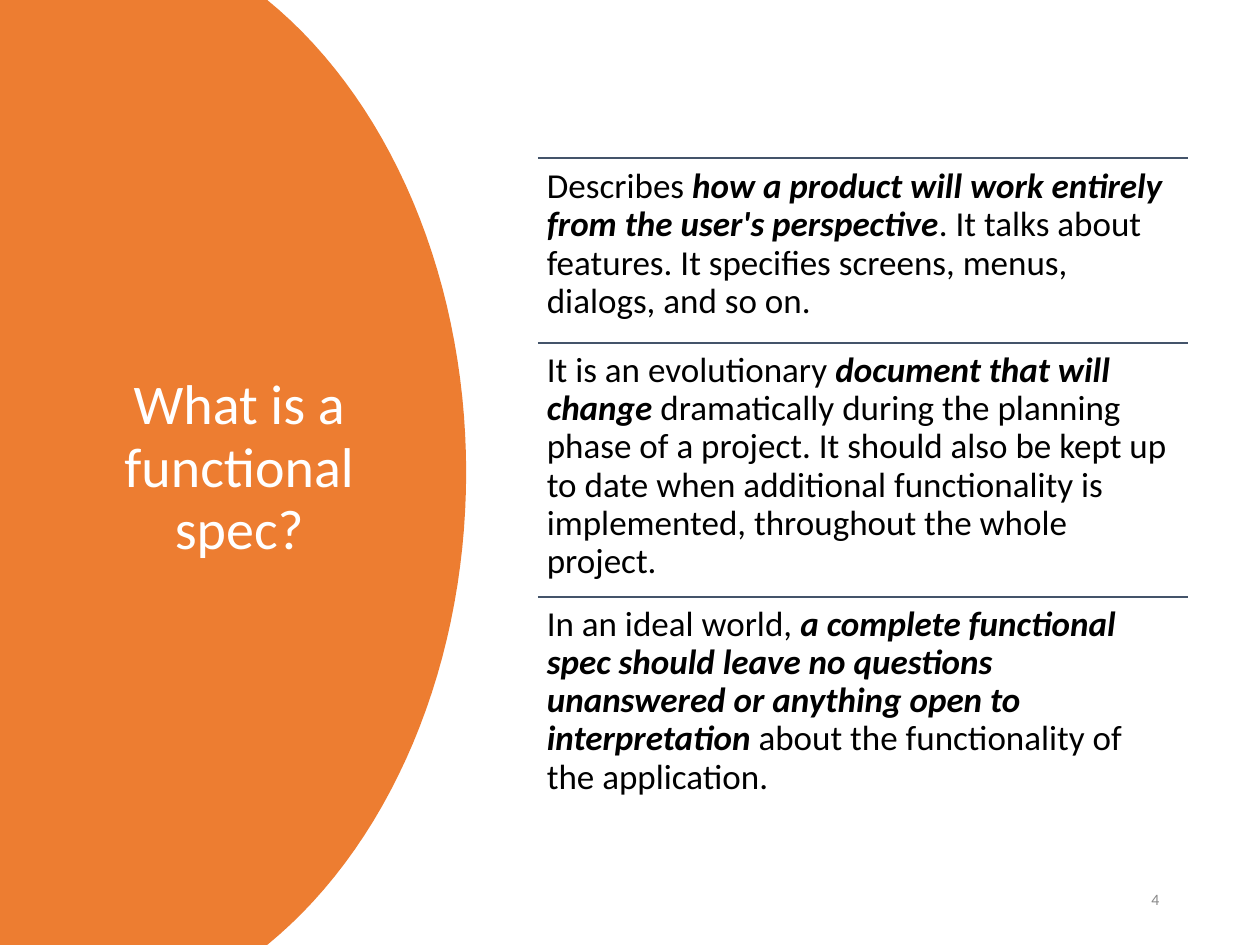
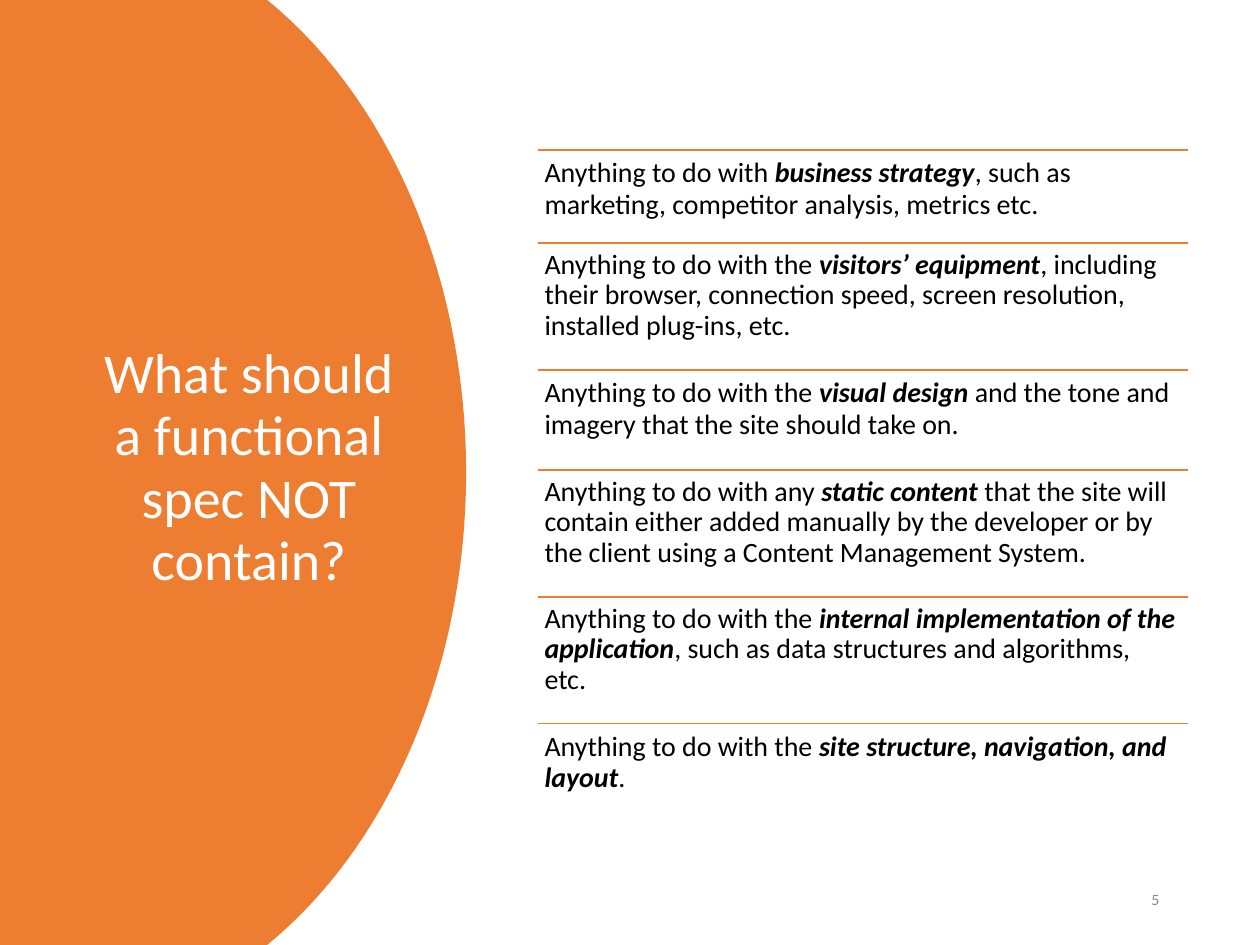
from math import asin, cos, sin

from lxml.etree import SubElement
from pptx import Presentation
from pptx.dml.color import RGBColor
from pptx.enum.shapes import MSO_CONNECTOR
from pptx.enum.text import MSO_ANCHOR, MSO_AUTO_SIZE, PP_ALIGN
from pptx.oxml.ns import qn
from pptx.util import Pt

COLORS = {"orange": "ED7D31", "slate": "44546A", "white": "FFFFFF",
          "black": "000000", "gray": "898989"}
FONT = "Calibri"
WIDTH, HEIGHT = 720, 540
CENTER_X, RADIUS_X, RADIUS_Y = 28, 238.4, 316.8
ARC_STEPS = 60
RULE_LEFT, RULE_RIGHT = 307.4, 678.9

SLIDES = [
    {
        "number": "4",
        "title": "What is a functional spec?",
        "title_box": (69, 209.5, 135.5, 112),
        "rule": "slate", "size": 20, "text_left": 312.5, "gap": 2,
        "rows": [
            (90.5, 356, 0.92, ["Describes ", "how a product will work entirely from the user's perspective",
                               ". It talks about features. It specifies screens, menus, dialogs, and so on."]),
            (196, 358, 0.91, ["It is an evolutionary ", "document that will change",
                              " dramatically during the planning phase of a project. It should also be kept up to "
                              "date when additional functionality is implemented, throughout the whole project."]),
            (341, 333, 0.91, ["In an ideal world, ",
                              "a complete functional spec should leave no questions unanswered or anything open "
                              "to interpretation", " about the functionality of the application."]),
        ],
    },
    {
        "number": "5",
        "title": "What should a functional spec NOT contain?",
        "title_box": (57, 191.5, 170.5, 148),
        "rule": "orange", "size": 16, "text_left": 311.2, "gap": 1,
        "rows": [
            (85.8, 306, Pt(18), ["Anything to do with ", "business strategy",
                                 ", such as marketing, competitor analysis, metrics etc."]),
            (138.8, 355, 0.91, ["Anything to do with the ", "visitors’ equipment",
                                ", including their browser, connection speed, screen resolution, installed "
                                "plug-ins, etc."]),
            (211.4, 362, Pt(18), ["Anything to do with the ", "visual design",
                                  " and the tone and imagery that the site should take on."]),
            (268.4, 361, 0.91, ["Anything to do with any ", "static content",
                                " that the site will contain either added manually by the developer or by the "
                                "client using a Content Management System."]),
            (341, 366, 0.91, ["Anything to do with the ", "internal implementation of the application",
                              ", such as data structures and algorithms,\vetc."]),
            (413.4, 366, Pt(18), ["Anything to do with the ", "site structure, navigation, and layout", "."]),
        ],
    },
]


def set_frame(tf, top_inset):
    tf.word_wrap = True
    tf.auto_size = MSO_AUTO_SIZE.NONE
    tf.vertical_anchor = MSO_ANCHOR.TOP
    tf.margin_left = tf.margin_right = tf.margin_bottom = 0
    tf.margin_top = Pt(top_inset)


def set_font(r, size, color):
    r.font.name = FONT
    r.font.size = Pt(size)
    r.font.color.rgb = RGBColor.from_string(COLORS[color])


prs = Presentation()
prs.slide_width, prs.slide_height = Pt(WIDTH), Pt(HEIGHT)

half = asin(HEIGHT / 2 / RADIUS_Y)
angles = [half * (2 * i / ARC_STEPS - 1) for i in range(ARC_STEPS + 1)]
arc = [(Pt(CENTER_X + RADIUS_X * cos(a)), Pt(HEIGHT / 2 + RADIUS_Y * sin(a))) for a in angles]

for slide in SLIDES:
    s = prs.slides.add_slide(prs.slide_layouts[5])

    title = s.shapes.title
    title.left, title.top, title.width, title.height = map(Pt, slide["title_box"])
    tf = title.text_frame
    tf.text = slide["title"]
    set_frame(tf, 4.5)
    p = tf.paragraphs[0]
    p.alignment = PP_ALIGN.CENTER
    p.line_spacing = 0.93
    set_font(p.runs[0], 32, "white")

    builder = s.shapes.build_freeform(0, 0)
    builder.add_line_segments(arc + [(0, Pt(HEIGHT))])
    band = builder.convert_to_shape()
    band.shadow.inherit = False
    band.fill.solid()
    band.fill.fore_color.rgb = RGBColor.from_string(COLORS["orange"])
    band.line.fill.background()
    title.element.addprevious(band.element)

    bottoms = [row[0] for row in slide["rows"][1:]] + [465]
    for (top, width, spacing, parts), bottom in zip(slide["rows"], bottoms):
        rule = s.shapes.add_connector(MSO_CONNECTOR.STRAIGHT, Pt(RULE_LEFT), Pt(top), Pt(RULE_RIGHT), Pt(top))
        rule.line.color.rgb = RGBColor.from_string(COLORS[slide["rule"]])
        rule.line.width = Pt(1)
        SubElement(rule.element.spPr, qn("a:effectLst"))

        text_top = top + slide["gap"]
        sp = s.shapes.add_textbox(Pt(slide["text_left"]), Pt(text_top), Pt(width), Pt(bottom - text_top))
        set_frame(sp.text_frame, 3)
        p = sp.text_frame.paragraphs[0]
        p.line_spacing = spacing
        for i, part in enumerate(parts):
            for j, line in enumerate(part.split("\v")):
                if j:
                    p.add_line_break()
                r = p.add_run()
                r.text = line
                set_font(r, slide["size"], "black")
                r.font.bold = r.font.italic = i == 1

    sp = s.shapes.add_textbox(Pt(658), Pt(507.6), Pt(8), Pt(13))
    sp.text_frame.text = slide["number"]
    set_frame(sp.text_frame, 1)
    set_font(sp.text_frame.paragraphs[0].runs[0], 9, "gray")

prs.save("out.pptx")
